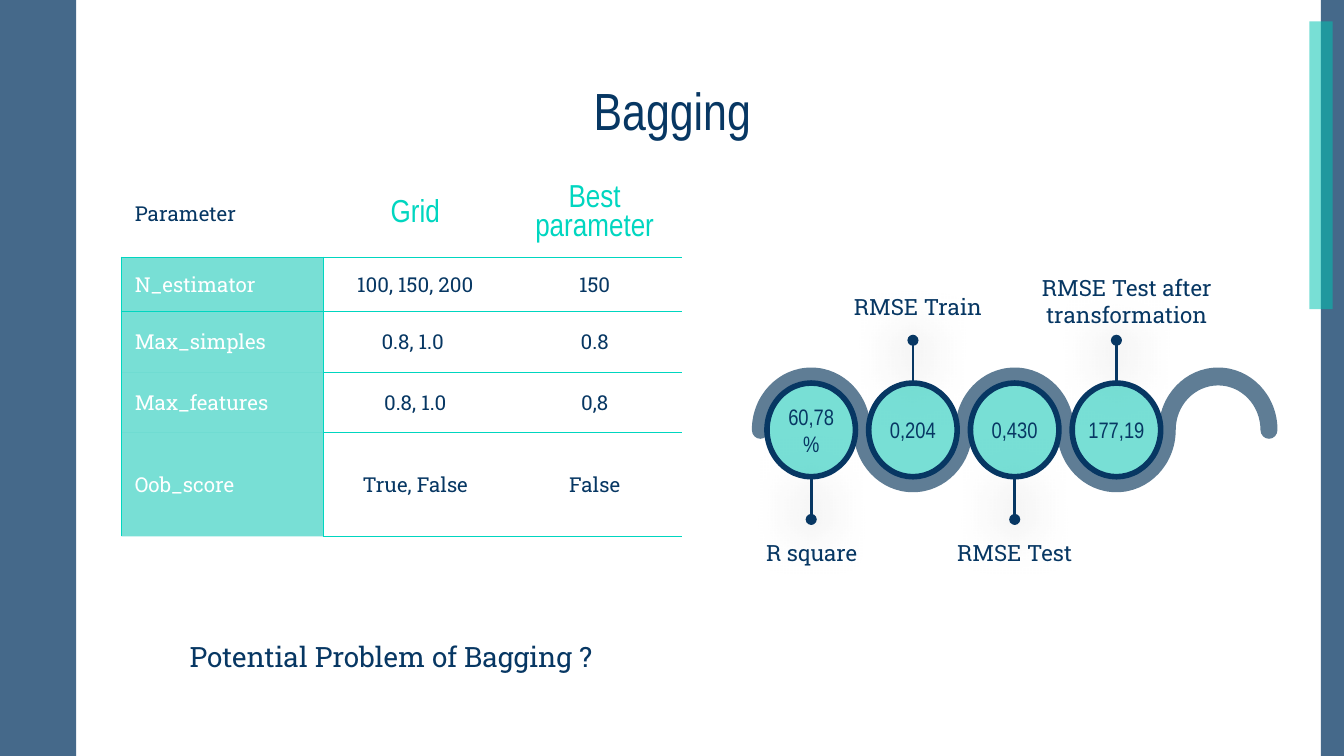
import math

from lxml import etree
from pptx import Presentation
from pptx.dml.color import RGBColor
from pptx.enum import shapes as kinds, text as txt
from pptx.oxml.ns import qn
from pptx.util import Pt

NAVY = RGBColor(0x07, 0x37, 0x63)
TEAL = RGBColor(0x00, 0xC3, 0xB1)
MINT = RGBColor(0x00, 0xD6, 0xC0)
SLATE = RGBColor(0x5F, 0x7D, 0x95)
WHITE = RGBColor(0xFF, 0xFF, 0xFF)
BLACK = RGBColor(0x00, 0x00, 0x00)
NARROW, SLAB = "Arial Narrow", "Roboto Slab"
PLAIN_TABLE = "{2D5ABB26-0587-4C30-8999-92F81FD0307C}"

BAND_Y, FIRST_X, STEP = 230.3, 434.6, 54.5
OUTER, INNER, CAP = (31.8, 33.4), (22.7, 23.8), (4.55, 4.8)

GRID = [
    ["Parameter", "Grid", "Best parameter"],
    ["N_estimator", "100, 150, 200", "150"],
    ["Max_simples", "0.8, 1.0 ", "0.8"],
    ["Max_features", "0.8, 1.0", "0,8"],
    ["Oob_score", "True, False", "False"],
]
COLUMN_WIDTHS = [108.2, 98.6, 93.6]
ROW_HEIGHTS = [46.4, 29, 32.6, 32.5, 55.5]

# value, label, label left, label top, label width
SCORES = [
    ("60,78 %", "R square", 395.3, 288, 79.2),
    ("0,204", "RMSE Train", 452.2, 156.2, 79.2),
    ("0,430", "RMSE Test", 504, 288, 79.2),
    ("177,19", "RMSE Test after transformation", 543.6, 146.2, 120.2),
]


def style(frame, words, font, size, color, align=txt.PP_ALIGN.CENTER):
    frame.text = words
    paragraph = frame.paragraphs[0]
    paragraph.alignment = align
    run_font = paragraph.runs[0].font
    run_font.name, run_font.size, run_font.color.rgb = font, Pt(size), color


def set_margins(frame, margin, top=None):
    frame.word_wrap = True
    frame.margin_left = frame.margin_right = frame.margin_bottom = Pt(margin)
    frame.margin_top = Pt(margin if top is None else top)


def add_color(parent, color, opacity=100):
    node = etree.SubElement(parent, qn("a:srgbClr"), val=str(color))
    etree.SubElement(node, qn("a:alpha"), val=str(opacity * 1000))


def paint(fill, properties, color, opacity):
    """Fill solidly, then add the opacity in percent to the colour."""
    fill.solid()
    fill.fore_color.rgb = color
    color_node = properties.find(qn("a:solidFill"))[0]
    etree.SubElement(color_node, qn("a:alpha"), val=str(opacity * 1000))


def add_bar(slide, left, top, width, height, color, opacity):
    bar = slide.shapes.add_shape(kinds.MSO_SHAPE.RECTANGLE,
                                 Pt(left), Pt(top), Pt(width), Pt(height))
    bar.shadow.inherit = False
    bar.line.fill.background()
    paint(bar.fill, bar._element.spPr, color, opacity)


def add_title(slide, words):
    title = slide.shapes.title
    title.left, title.top, title.width, title.height = Pt(56.6), Pt(42.9), Pt(607), Pt(31.7)
    set_margins(title.text_frame, 7.2)
    title.text_frame.vertical_anchor = txt.MSO_ANCHOR.MIDDLE
    style(title.text_frame, words, NARROW, 28, NAVY)


def add_label(slide, words, left, top, width, height=26.6, size=12, margin=0,
              top_margin=0.7, align=txt.PP_ALIGN.CENTER):
    box = slide.shapes.add_textbox(Pt(left), Pt(top), Pt(width), Pt(height))
    set_margins(box.text_frame, margin, top_margin)
    style(box.text_frame, words, SLAB, size, NAVY, align)


def add_border(cell, side):
    line = etree.SubElement(cell._tc.get_or_add_tcPr(), qn("a:ln" + side), w=str(Pt(0.75)))
    add_color(etree.SubElement(line, qn("a:solidFill")), MINT)


def fill_cell(cell, row, column):
    is_header, is_name = row == 0, column == 0
    set_margins(cell, 7.2)
    cell.vertical_anchor = txt.MSO_ANCHOR.MIDDLE
    if is_header and not is_name:
        style(cell.text_frame, GRID[row][column], NARROW, 17, MINT)
    else:
        style(cell.text_frame, GRID[row][column], SLAB, 11,
              WHITE if is_name and not is_header else NAVY,
              txt.PP_ALIGN.LEFT if is_name else txt.PP_ALIGN.CENTER)
    if is_header:
        sides = "B"
    elif is_name:
        sides = "LRT" if row == 1 else "LR"
    else:
        sides = "TB"
    for side in sides:
        add_border(cell, side)
    if is_name and not is_header:
        paint(cell.fill, cell._tc.tcPr, TEAL, 53)


def add_parameter_table(slide):
    frame = slide.shapes.add_table(len(GRID), len(GRID[0]), Pt(65), Pt(91.4),
                                   Pt(sum(COLUMN_WIDTHS)), Pt(sum(ROW_HEIGHTS)))
    table = frame.table
    table.first_row = table.horz_banding = False
    table._tbl.tblPr.find(qn("a:tableStyleId")).text = PLAIN_TABLE
    for column, width in zip(table.columns, COLUMN_WIDTHS):
        column.width = Pt(width)
    for r, height in enumerate(ROW_HEIGHTS):
        table.rows[r].height = Pt(height)
        for c in range(len(COLUMN_WIDTHS)):
            fill_cell(table.cell(r, c), r, c)


def half_arc(center_x, radii, start, end):
    """Return two quarter curves, each as two control points and an end point."""
    turn = math.radians(end - start) / 2
    pull = 4 / 3 * math.tan(turn / 4)
    points = []
    for quarter in range(2):
        a = math.radians(start) + turn * quarter
        b = a + turn
        units = [(math.cos(a) - pull * math.sin(a), math.sin(a) + pull * math.cos(a)),
                 (math.cos(b) + pull * math.sin(b), math.sin(b) - pull * math.cos(b)),
                 (math.cos(b), math.sin(b))]
        points += [(Pt(center_x + radii[0] * x), Pt(BAND_Y - radii[1] * y)) for x, y in units]
    return points


def curve_segments(freeform):
    """Turn every three line segments of the outline into one cubic curve."""
    outline = freeform._element.spPr.find(".//" + qn("a:path"))
    lines = outline.findall(qn("a:lnTo"))
    for i in range(0, len(lines), 3):
        curve = etree.Element(qn("a:cubicBezTo"))
        lines[i].addprevious(curve)
        for line in lines[i:i + 3]:
            curve.append(line[0])
            outline.remove(line)


def add_wave(slide, humps=5):
    """Draw a band that runs alternately over and under the row of centres."""
    centers = [FIRST_X + STEP * i for i in range(humps)]
    upper, lower = [], []
    for i, x in enumerate(centers):
        end = 360 if i % 2 else 0
        upper += half_arc(x, INNER if i % 2 else OUTER, 180, end)
        lower = half_arc(x, OUTER if i % 2 else INNER, end, 180) + lower
    right_cap = half_arc(centers[-1] + STEP / 2, CAP, 0, -180)
    left_cap = half_arc(centers[0] - STEP / 2, CAP, 0, -180)
    builder = slide.shapes.build_freeform(Pt(centers[0] - OUTER[0]), Pt(BAND_Y))
    builder.add_line_segments(upper + right_cap + lower + left_cap, close=True)
    wave = builder.convert_to_shape()
    curve_segments(wave)
    wave.shadow.inherit = False
    wave.fill.solid()
    wave.fill.fore_color.rgb = SLATE
    wave.line.fill.background()


def add_pin(slide, x, direction):
    """Draw a dot-ended stem; direction is 1 for downwards and -1 for upwards."""
    start, end = BAND_Y + direction * 25.2, BAND_Y + direction * 48
    pin = slide.shapes.add_connector(kinds.MSO_CONNECTOR.STRAIGHT,
                                     Pt(x), Pt(start), Pt(x), Pt(end))
    pin.line.color.rgb, pin.line.width = NAVY, Pt(1.5)
    etree.SubElement(pin.line._get_or_add_ln(), qn("a:tailEnd"), type="oval")
    effects = etree.SubElement(pin._element.spPr, qn("a:effectLst"))
    shadow = etree.SubElement(effects, qn("a:outerShdw"), blurRad=str(Pt(28.1)),
                              dist=str(Pt(1.5)), dir="5400000", rotWithShape="0")
    add_color(shadow, BLACK, 73)


def add_score(slide, x, value):
    disc = slide.shapes.add_shape(kinds.MSO_SHAPE.OVAL, Pt(x - 23.7), Pt(BAND_Y - 25.1),
                                  Pt(47.4), Pt(50.2))
    disc.shadow.inherit = False
    paint(disc.fill, disc._element.spPr, TEAL, 53)
    disc.line.color.rgb, disc.line.width = NAVY, Pt(3)
    set_margins(disc.text_frame, 0)
    disc.text_frame.vertical_anchor = txt.MSO_ANCHOR.MIDDLE
    style(disc.text_frame, value, NARROW, 12, NAVY)


def main():
    deck = Presentation()
    deck.slide_width, deck.slide_height = Pt(720), Pt(405)
    slide = deck.slides.add_slide(deck.slide_layouts[5])
    add_bar(slide, 0, 0, 40.8, 405, NAVY, 75)
    add_bar(slide, 707.6, 0, 12.4, 405, NAVY, 75)
    add_bar(slide, 701.5, 11.5, 12.4, 154.2, TEAL, 53)
    add_title(slide, "Bagging")
    add_parameter_table(slide)
    add_wave(slide)
    for i in range(len(SCORES)):
        add_pin(slide, FIRST_X + STEP * i, -1 if i % 2 else 1)
    for i, (value, label, left, top, width) in enumerate(SCORES):
        add_score(slide, FIRST_X + STEP * i, value)
        add_label(slide, label, left, top, width)
    add_label(slide, "Potential Problem of Bagging ?", 94.5, 335.5, 250.6, 32.4, size=15,
              margin=7.2, top_margin=7.2, align=txt.PP_ALIGN.LEFT)
    deck.save("out.pptx")


if __name__ == "__main__":
    main()
